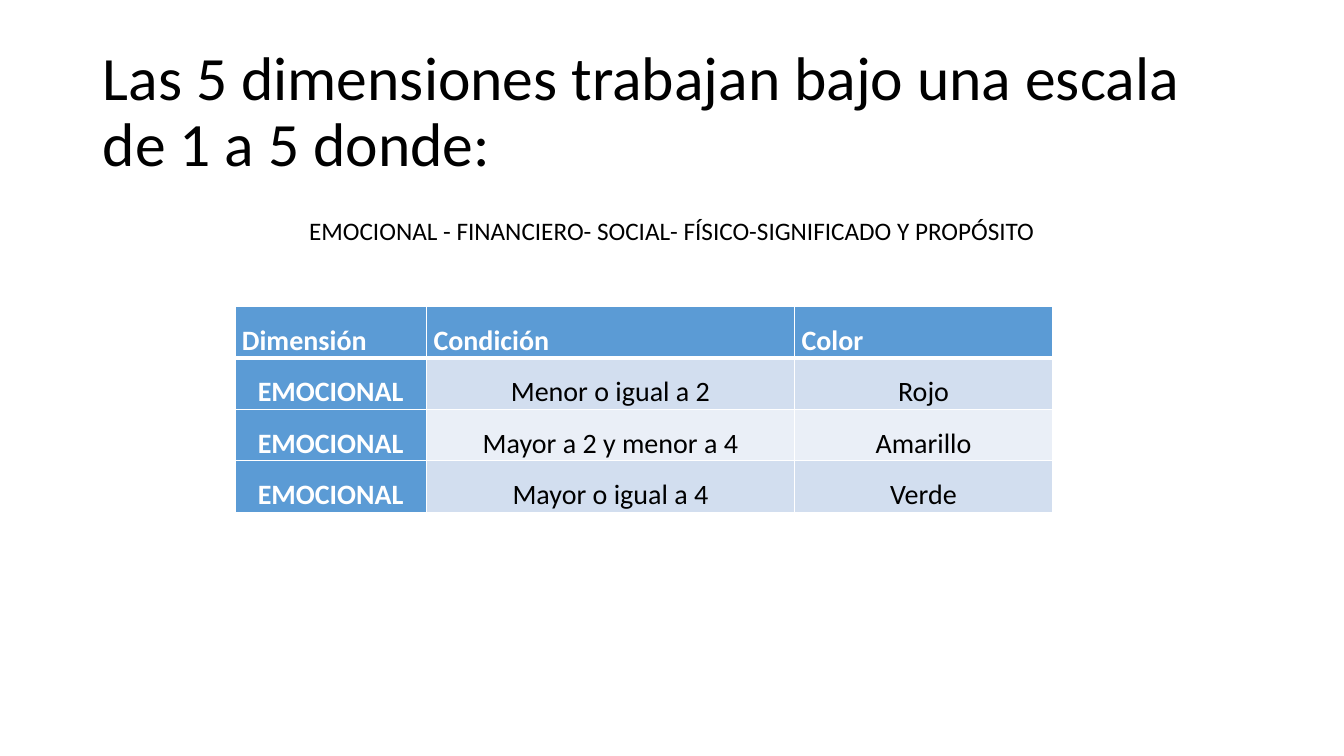
from dataclasses import dataclass

from lxml.etree import SubElement
from pptx import Presentation
from pptx.dml.color import RGBColor
from pptx.enum.text import MSO_ANCHOR, MSO_AUTO_SIZE, PP_ALIGN
from pptx.oxml.ns import qn
from pptx.util import Inches, Pt

# Content
TITLE = "Las 5 dimensiones trabajan bajo una escala de 1 a 5 donde:"
DIMENSIONS = "EMOCIONAL - FINANCIERO- SOCIAL- FÍSICO-SIGNIFICADO Y PROPÓSITO"
SCALE = [
    ("Dimensión", "Condición", "Color"),
    ("EMOCIONAL", "Menor o igual a 2", "Rojo"),
    ("EMOCIONAL", "Mayor a 2 y menor a 4", "Amarillo"),
    ("EMOCIONAL", "Mayor o igual a 4", "Verde"),
]
COLUMN_WIDTHS = (1.9, 3.65, 2.56)
ROW_HEIGHT = 0.5


@dataclass(frozen=True)
class Theme:
    font: str = "Calibri"
    text: str = "000000"
    white: str = "FFFFFF"
    accent: str = "5B9BD5"
    bands: tuple = ("EAEFF7", "D2DEEF")
    title_size: int = 44
    list_size: int = 18
    cell_size: int = 20
    border: int = 1
    header_border: int = 3


THEME = Theme()


def format_text(frame, size, color, align, spacing, bold=False):
    for paragraph in frame.paragraphs:
        paragraph.alignment = align
        paragraph.line_spacing = spacing
        for run in paragraph.runs:
            run.font.name = THEME.font
            run.font.size = Pt(size)
            run.font.bold = bold
            run.font.color.rgb = RGBColor.from_string(color)


def add_borders(cell, below_width, above_width):
    """Put the white grid lines in front of the cell's fill."""
    properties = cell._tc.get_or_add_tcPr()
    widths = {"lnL": THEME.border, "lnR": THEME.border,
              "lnT": above_width, "lnB": below_width}
    for position, (side, width) in enumerate(widths.items()):
        line = SubElement(properties, qn(f"a:{side}"), w=str(Pt(width)))
        fill = SubElement(line, qn("a:solidFill"))
        SubElement(fill, qn("a:srgbClr"), val=THEME.white)
        properties.insert(position, line)


def format_cell(cell, row, column):
    is_header = row == 0
    is_accent = is_header or column == 0
    cell.margin_left = cell.margin_right = Inches(0.07)
    cell.margin_top = cell.margin_bottom = 0
    cell.fill.solid()
    cell.fill.fore_color.rgb = RGBColor.from_string(
        THEME.accent if is_accent else THEME.bands[row % 2])
    format_text(cell.text_frame, THEME.cell_size,
                THEME.white if is_accent else THEME.text,
                PP_ALIGN.JUSTIFY if is_header else PP_ALIGN.CENTER,
                1.5, bold=is_accent)
    cell.text_frame.paragraphs[0].space_after = Pt(10)
    add_borders(cell,
                THEME.header_border if is_header else THEME.border,
                THEME.header_border if row == 1 else THEME.border)


def main():
    presentation = Presentation()
    presentation.slide_width = Inches(13.33)
    presentation.slide_height = Inches(7.5)
    slide = presentation.slides.add_slide(presentation.slide_layouts[5])

    # Title
    title = slide.shapes.title
    title.left, title.top = Inches(0.92), Inches(0.4)
    title.width, title.height = Inches(11.5), Inches(1.45)
    title.text_frame.text = TITLE
    title.text_frame.vertical_anchor = MSO_ANCHOR.MIDDLE
    format_text(title.text_frame, THEME.title_size, THEME.text, PP_ALIGN.LEFT, 0.9)

    # Scale table
    table = slide.shapes.add_table(
        len(SCALE), len(COLUMN_WIDTHS), Inches(2.33), Inches(3.04),
        Inches(sum(COLUMN_WIDTHS)), Inches(ROW_HEIGHT * len(SCALE))).table
    for column, width in zip(table.columns, COLUMN_WIDTHS):
        column.width = Inches(width)
    for row, entries in enumerate(SCALE):
        for column, entry in enumerate(entries):
            cell = table.cell(row, column)
            cell.text_frame.text = entry
            format_cell(cell, row, column)

    # List of dimensions
    dimensions = slide.shapes.add_textbox(
        0, Inches(1.94), presentation.slide_width, Inches(0.56)).text_frame
    dimensions.word_wrap = True
    dimensions.auto_size = MSO_AUTO_SIZE.SHAPE_TO_FIT_TEXT
    dimensions.text = DIMENSIONS
    format_text(dimensions, THEME.list_size, THEME.text, PP_ALIGN.CENTER, 1.5)
    dimensions.paragraphs[0].space_before = Pt(10)

    presentation.save("out.pptx")


if __name__ == "__main__":
    main()
